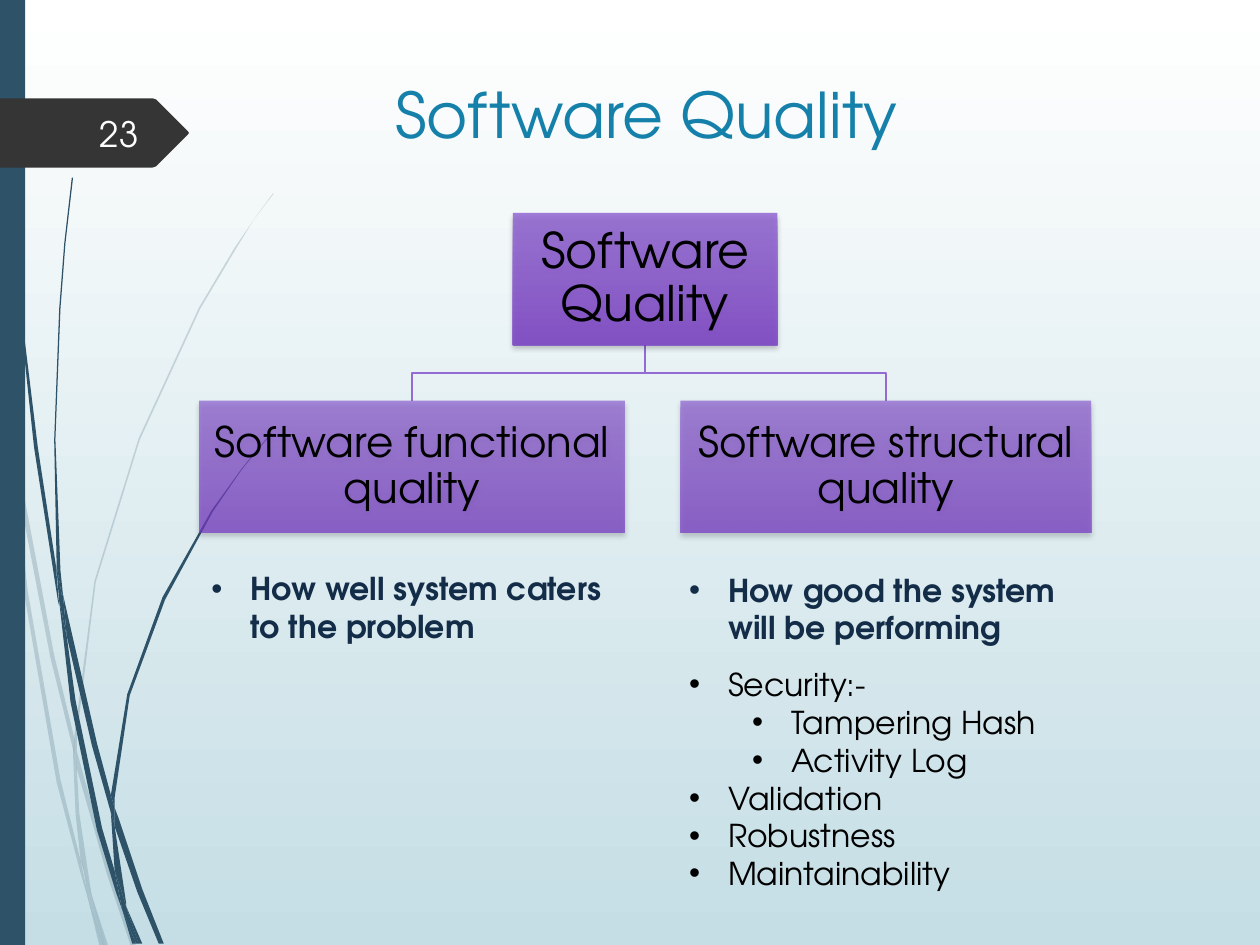
import pptx
import pptx.util
import pptx.dml.color
import pptx.enum.shapes
import pptx.enum.text
import pptx.oxml.ns
import lxml.etree
from dataclasses import dataclass

Inches, Pt = pptx.util.Inches, pptx.util.Pt
RGB = pptx.dml.color.RGBColor.from_string
ALIGN, ANCHOR = pptx.enum.text.PP_ALIGN, pptx.enum.text.MSO_ANCHOR
RECTANGLE = pptx.enum.shapes.MSO_SHAPE.RECTANGLE
qn = pptx.oxml.ns.qn


@dataclass(frozen=True)
class Theme:
    font: str = "TeX Gyre Adventor"
    sky: tuple = ("FFFFFF", "C5DEE5")
    stem: str = "2E5369"
    badge: str = "353535"
    badge_text: str = "FEFFFF"
    title: str = "1581AA"
    purple: tuple = ("8D5ED1", "7536C4")
    branch: str = "926CD2"
    lead: str = "132C48"
    ink: str = "000000"
    title_size: int = 36
    root_size: int = 28
    child_size: int = 24
    number_size: int = 20
    body_size: int = 18


theme = Theme()
deck = pptx.Presentation()
deck.slide_width, deck.slide_height = Inches(10), Inches(7.5)
slide = deck.slides.add_slide(deck.slide_layouts[6])


def outline(points, closed=True):
    """Draw a path through (x, y) points in inches, without shadow."""
    corners = [(Inches(x), Inches(y)) for x, y in points]
    builder = slide.shapes.build_freeform(*corners[0])
    builder.add_line_segments(corners[1:], close=closed)
    shape = builder.convert_to_shape()
    shape.shadow.inherit = False
    return shape


def write(frame, lines, size, color, align=ALIGN.LEFT, bold=False, spacing=None, **frame_format):
    """Fill a text frame; lines are (text, bullet level), with level None for no bullet."""
    for name, value in {"word_wrap": True, **frame_format}.items():
        setattr(frame, name, value)
    for number, (text, level) in enumerate(lines):
        paragraph = frame.add_paragraph() if number else frame.paragraphs[0]
        for name, value in {"alignment": align, "line_spacing": spacing, "level": level or 0}.items():
            setattr(paragraph, name, value)
        if level is not None:
            properties = paragraph._p.get_or_add_pPr()
            properties.set("marL", str(Inches(0.31 + 0.5 * level)))
            properties.set("indent", str(Inches(-0.31)))
            lxml.etree.SubElement(properties, qn("a:buFont"), typeface="Arial")
            lxml.etree.SubElement(properties, qn("a:buChar"), char="•")
        run = paragraph.add_run()
        run.text = text
        for name, value in {"name": theme.font, "size": Pt(size), "bold": bold}.items():
            setattr(run.font, name, value)
        run.font.color.rgb = RGB(color)


# Background and grass stems
sky = slide.background.fill
sky.gradient()
sky.gradient_angle = 270
for stop, color in zip(sky.gradient_stops, theme.sky):
    stop.color.rgb = RGB(color)

pale_stems = [
    "0.08,3.5 0.06,3.22 0,2.82 0,2.99 0.07,3.44",
    "0.4,5.22 0.59,5.99 0.59,5.86 0.43,5.2 0.1,3.45 0.12,3.76",
    "0.64,6.07 0.61,5.96 0.61,6.1 0.85,6.94 1.04,7.51 1.08,7.51 0.88,6.92",
    "0.83,7.51 0.86,7.51 0.73,7.11",
    "0.64,6.83 0.48,6.19 0.22,4.69 0.12,3.76 0.08,3.5 0.19,4.7 0.45,6.21 0.64,6.93 0.7,7.14 0.69,7.07",
    "0.58,5.99 0.6,6.46 0.64,6.83 0.67,6.92 0.73,7.11 0.72,7.06 0.63,6.46 0.61,6.1 0.61,6.08",
    "0.61,5.84 0.76,4.62 1.11,3.49 1.59,2.45 1.87,1.98 2.01,1.75 2.17,1.54 2.17,1.53 2.01,1.75"
    " 1.86,1.97 1.58,2.44 1.1,3.48 0.75,4.61 0.59,5.84 0.59,5.86 0.61,5.96",
    "0.7,7.14 0.79,7.51 0.82,7.51",
    "0.61,6.08 0.61,6.1 0.61,5.96 0.59,5.86 0.58,5.99",
    "0.67,6.92 0.65,6.83 0.69,7.07 0.7,7.14 0.82,7.51 0.83,7.51 0.73,7.11",
]
dark_stems = [
    "0.05,1.1 0.14,2.33 0.27,3.55 0.46,4.77 0.47,4.81 0.45,4.57 0.45,4.53 0.3,3.55 0.15,2.32"
    " 0.06,1.09 0.04,0.48 0.03,0 0.02,0 0.03,0.48",
    "0.73,5.92 0.88,6.45 0.88,6.33 0.88,6.31 0.77,5.9 0.5,4.72 0.53,5.05",
    "0.94,6.49 0.91,6.41 0.91,6.56 1.09,7.08 1.26,7.49 1.3,7.49 1.13,7.06",
    "0.91,6.91 0.81,6.57 0.6,5.56 0.53,5.05 0.47,4.77 0.56,5.57 0.77,6.59 0.92,7.08 0.97,7.22 0.96,7.17",
    "0.5,4.72 0.48,4.53 0.44,3.49 0.48,2.45 0.52,1.93 0.58,1.41 0.57,1.41 0.51,1.93 0.47,2.45"
    " 0.43,3.49 0.45,4.49 0.49,4.72",
    "1.1,7.49 1.13,7.49 1,7.19",
    "0.47,4.77 0.53,5.05 0.5,4.72 0.49,4.72 0.45,4.49 0.45,4.53",
    "0.91,6.33 1.03,5.52 1.31,4.76 1.69,4.06 1.91,3.74 2.03,3.59 2.16,3.44 2.15,3.44 2.03,3.58"
    " 1.91,3.73 1.68,4.05 1.29,4.74 1.01,5.51 0.88,6.31 0.91,6.41",
    "0.97,7.22 1.05,7.49 1.08,7.49",
    "0.88,6.45 0.91,6.91 0.96,7.06 1,7.19 1,7.16 0.91,6.56 0.9,6.51",
    "0.88,6.45 0.9,6.51 0.91,6.56 0.91,6.41 0.88,6.31 0.88,6.33",
    "0.96,7.06 0.91,6.91 0.96,7.17 0.97,7.22 1.08,7.49 1.1,7.49 1,7.19",
]
for stems, opacity in ((pale_stems, 20), (dark_stems, 100)):
    for stem_points in stems:
        stem = outline([tuple(map(float, pair.split(","))) for pair in stem_points.split()])
        stem.fill.solid()
        stem.fill.fore_color.rgb = RGB(theme.stem)
        stem.line.fill.background()
        if opacity < 100:
            tint = stem._element.spPr.find(".//" + qn("a:srgbClr"))
            lxml.etree.SubElement(tint, qn("a:alpha"), val=str(opacity * 1000))

# Side band and page badge
band = slide.shapes.add_shape(RECTANGLE, 0, 0, Inches(0.2), Inches(7.5))
band.shadow.inherit = False
badge = outline([(0, 0.78), (1.21, 0.78), (1.24, 0.79), (1.49, 1.04), (1.5, 1.055),
                 (1.49, 1.07), (1.24, 1.32), (1.21, 1.33), (0, 1.33)])
for part, color in ((band, theme.stem), (badge, theme.badge)):
    part.fill.solid()
    part.fill.fore_color.rgb = RGB(color)
    part.line.fill.background()

# Quality tree
root_middle, root_bottom, child_top = 5.12, 2.74, 3.18
fork = (root_bottom + child_top) / 2
for child_middle in (7.03, 3.27):
    branch = outline([(root_middle, root_bottom), (root_middle, fork),
                      (child_middle, fork), (child_middle, child_top)], closed=False)
    branch.fill.background()
    branch.line.color.rgb = RGB(theme.branch)
    branch.line.width = Pt(1.25)

for label, left, top, width, size, opacity in (
    ("Software Quality", 4.07, 1.69, 2.1, theme.root_size, 80),
    ("Software functional quality", 1.58, child_top, 3.38, theme.child_size, 70),
    ("Software structural quality", 5.4, child_top, 3.26, theme.child_size, 70),
):
    node = slide.shapes.add_shape(RECTANGLE, Inches(left), Inches(top), Inches(width), Inches(1.05))
    node.line.fill.background()
    node.fill.gradient()
    node.fill.gradient_angle = 270
    for stop, color in zip(node.fill.gradient_stops, theme.purple):
        stop.color.rgb = RGB(color)
    for tint in node._element.spPr.findall(".//" + qn("a:srgbClr")):
        lxml.etree.SubElement(tint, qn("a:alpha"), val=str(opacity * 1000))
    node.shadow.inherit = False
    shadow = lxml.etree.SubElement(node._element.spPr.find(qn("a:effectLst")), qn("a:outerShdw"),
                                   blurRad=str(Pt(3)), dist=str(Pt(2)), dir="5400000", rotWithShape="0")
    shade = lxml.etree.SubElement(shadow, qn("a:srgbClr"), val=theme.ink)
    lxml.etree.SubElement(shade, qn("a:alpha"), val="25000")
    margins = {f"margin_{side}": Inches(0.02) for side in ("left", "top", "right", "bottom")}
    write(node.text_frame, [(label, None)], size, theme.ink, ALIGN.CENTER, spacing=0.9,
          vertical_anchor=ANCHOR.MIDDLE, **margins)

# Page number, title and bullet lists
aspects = [("Security:-", 0), ("Tampering Hash", 1), ("Activity Log", 1),
           ("Validation", 0), ("Robustness", 0), ("Maintainability", 0)]
lead_format = {"size": theme.body_size, "color": theme.lead, "bold": True}
for box, lines, text_format in (
    ((0.56, 0.86, 0.64, 0.4), [("23", None)],
     {"size": theme.number_size, "color": theme.badge_text, "align": ALIGN.RIGHT,
      "vertical_anchor": ANCHOR.MIDDLE}),
    ((3.01, 0.55, 4.24, 0.71), [("Software Quality", None)],
     {"size": theme.title_size, "color": theme.title, "align": ALIGN.CENTER, "word_wrap": False}),
    ((1.58, 4.47, 3.42, 0.71), [("How well system caters to the problem", 0)], lead_format),
    ((5.37, 4.48, 3.42, 0.71), [("How good the system will be performing", 0)], lead_format),
    ((5.37, 5.23, 3.42, 2.52), aspects, {"size": theme.body_size, "color": theme.ink}),
):
    caption = slide.shapes.add_textbox(*map(Inches, box))
    write(caption.text_frame, lines, **text_format)

deck.save("out.pptx")
